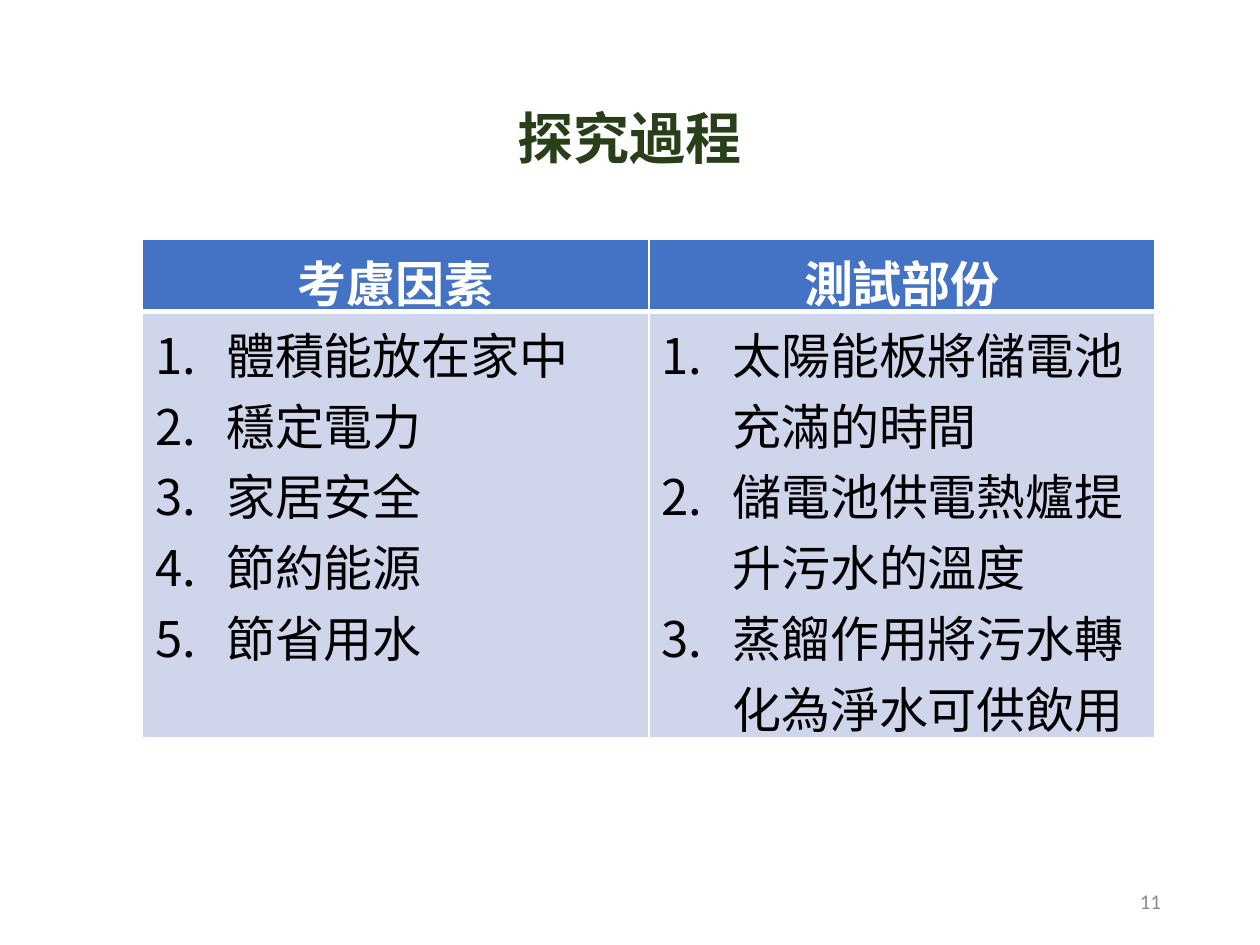
from dataclasses import dataclass

from lxml import etree
from pptx import Presentation
from pptx.dml.color import RGBColor
from pptx.enum.text import MSO_ANCHOR, PP_ALIGN
from pptx.oxml.ns import qn
from pptx.util import Pt

LEFT, CENTER, RIGHT = PP_ALIGN.LEFT, PP_ALIGN.CENTER, PP_ALIGN.RIGHT
MIDDLE = MSO_ANCHOR.MIDDLE


@dataclass(frozen=True)
class Theme:
    title: str = "283F19"
    header: str = "4472C4"
    body: str = "CFD5EA"
    white: str = "FFFFFF"
    black: str = "000000"
    muted: str = "8C8C8C"
    chinese_font: str = "Noto Sans CJK SC"
    latin_font: str = "Calibri"
    title_size: int = 32
    table_size: int = 28
    number_size: int = 12


THEME = Theme()
NUMBER_INDENT = Pt(40.5)
THIN, THICK = Pt(1), Pt(3)

COLUMNS = [
    ("考慮因素", THEME.chinese_font,
     ["體積能放在家中", "穩定電力", "家居安全", "節約能源", "節省用水"]),
    ("測試部份", THEME.latin_font,
     ["太陽能板將儲電池充滿的時間", "儲電池供電熱爐提升污水的溫度",
      "蒸餾作用將污水轉化為淨水可供飲用"]),
]


def write_paragraph(paragraph, text, size, color, font_name, bold=False, align=LEFT):
    paragraph.alignment = align
    run = paragraph.add_run()
    run.text = text
    run.font.color.rgb = RGBColor.from_string(color)
    values = {"size": Pt(size), "bold": bold, "name": font_name}
    for name, value in values.items():
        setattr(run.font, name, value)
    east_asian = etree.Element(qn("a:ea"), typeface=THEME.chinese_font)
    run.font._element.find(qn("a:latin")).addnext(east_asian)


def number_paragraph(paragraph):
    """Give the paragraph an automatic number with a hanging indent."""
    properties = paragraph._p.get_or_add_pPr()
    properties.set("marL", str(NUMBER_INDENT))
    properties.set("indent", str(-NUMBER_INDENT))
    etree.SubElement(properties, qn("a:buFont"), typeface=THEME.chinese_font)
    etree.SubElement(properties, qn("a:buAutoNum"), type="arabicPeriod")


def style_cell(cell, fill, top, bottom):
    """Fill the cell and rule it in white; top and bottom are line widths."""
    properties = cell._tc.get_or_add_tcPr()
    for side, width in {"L": THIN, "R": THIN, "T": top, "B": bottom}.items():
        line = etree.SubElement(properties, qn(f"a:ln{side}"), w=str(width))
        solid = etree.SubElement(line, qn("a:solidFill"))
        etree.SubElement(solid, qn("a:srgbClr"), val=THEME.white)
    cell.fill.solid()
    cell.fill.fore_color.rgb = RGBColor.from_string(fill)


def add_text(slide, box, text, line_spacing=None, **style):
    frame = slide.shapes.add_textbox(*map(Pt, box)).text_frame
    frame.word_wrap = True
    frame.vertical_anchor = MIDDLE
    paragraph = frame.paragraphs[0]
    paragraph.line_spacing = line_spacing
    write_paragraph(paragraph, text, **style)


def add_comparison_table(slide, box, row_heights):
    left, top, width, height = map(Pt, box)
    shape = slide.shapes.add_table(2, len(COLUMNS), left, top, width, height)
    table = shape.table
    for row, row_height in zip(table.rows, row_heights):
        row.height = Pt(row_height)
    for index, (heading, font_name, items) in enumerate(COLUMNS):
        table.columns[index].width = width // len(COLUMNS)
        header, body = table.cell(0, index), table.cell(1, index)
        style_cell(header, THEME.header, THIN, THICK)
        style_cell(body, THEME.body, THICK, THIN)
        write_paragraph(header.text_frame.paragraphs[0], heading, THEME.table_size,
                        THEME.white, font_name, bold=True, align=CENTER)
        frame = body.text_frame
        for position, item in enumerate(items):
            paragraph = frame.add_paragraph() if position else frame.paragraphs[0]
            number_paragraph(paragraph)
            write_paragraph(paragraph, item, THEME.table_size, THEME.black, font_name)


def main():
    presentation = Presentation()
    presentation.slide_width, presentation.slide_height = Pt(720), Pt(540)
    slide = presentation.slides.add_slide(presentation.slide_layouts[6])
    add_text(slide, (49.5, 28.75, 621, 104.4), "探究過程", line_spacing=0.9,
             size=THEME.title_size, color=THEME.title,
             font_name=THEME.chinese_font, bold=True, align=CENTER)
    add_comparison_table(slide, (81.5, 137, 578.5, 275), (31.5, 243.5))
    add_text(slide, (508.5, 500.5, 162, 28.75), "11", size=THEME.number_size,
             color=THEME.muted, font_name=THEME.latin_font, align=RIGHT)
    presentation.save("out.pptx")


if __name__ == "__main__":
    main()
